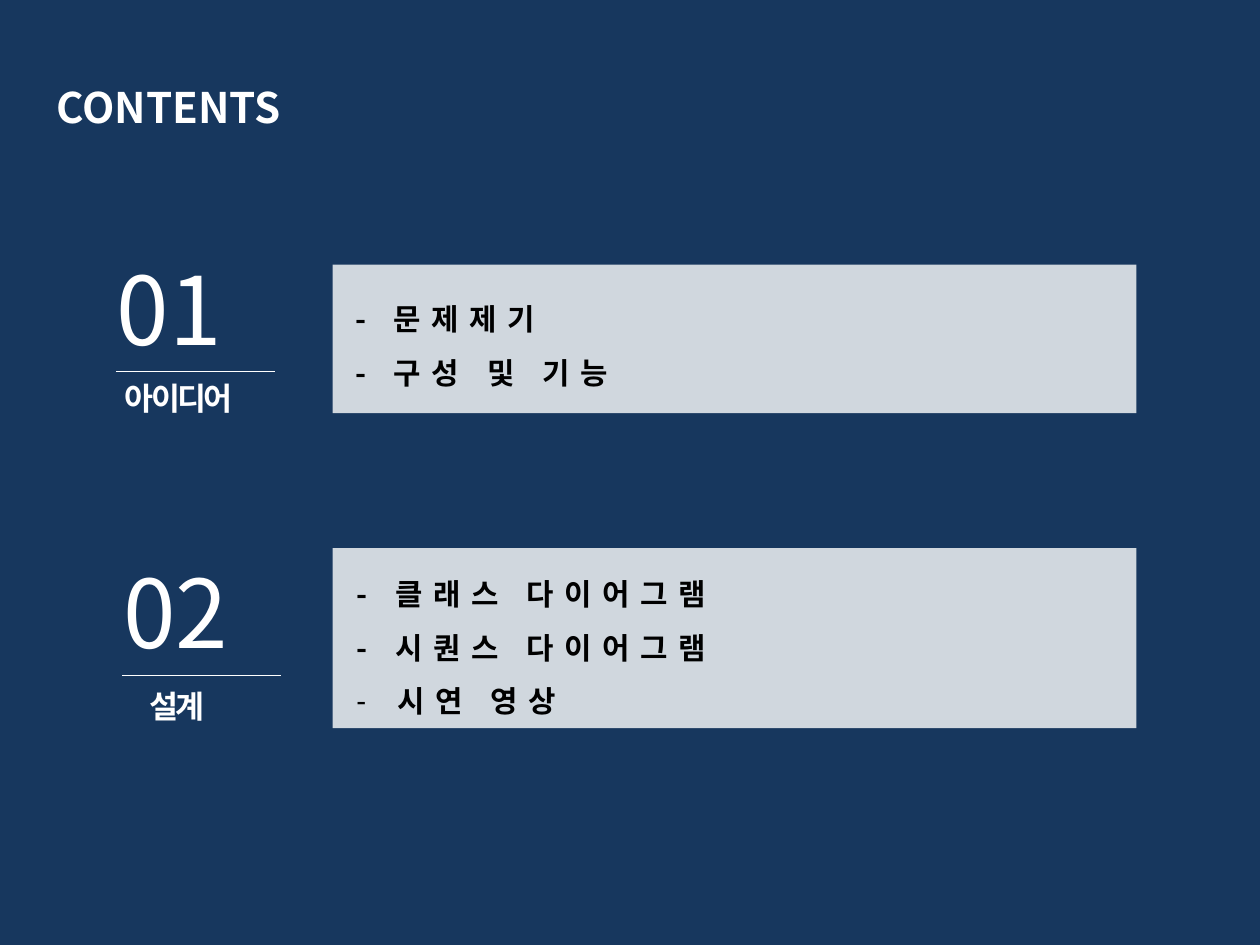
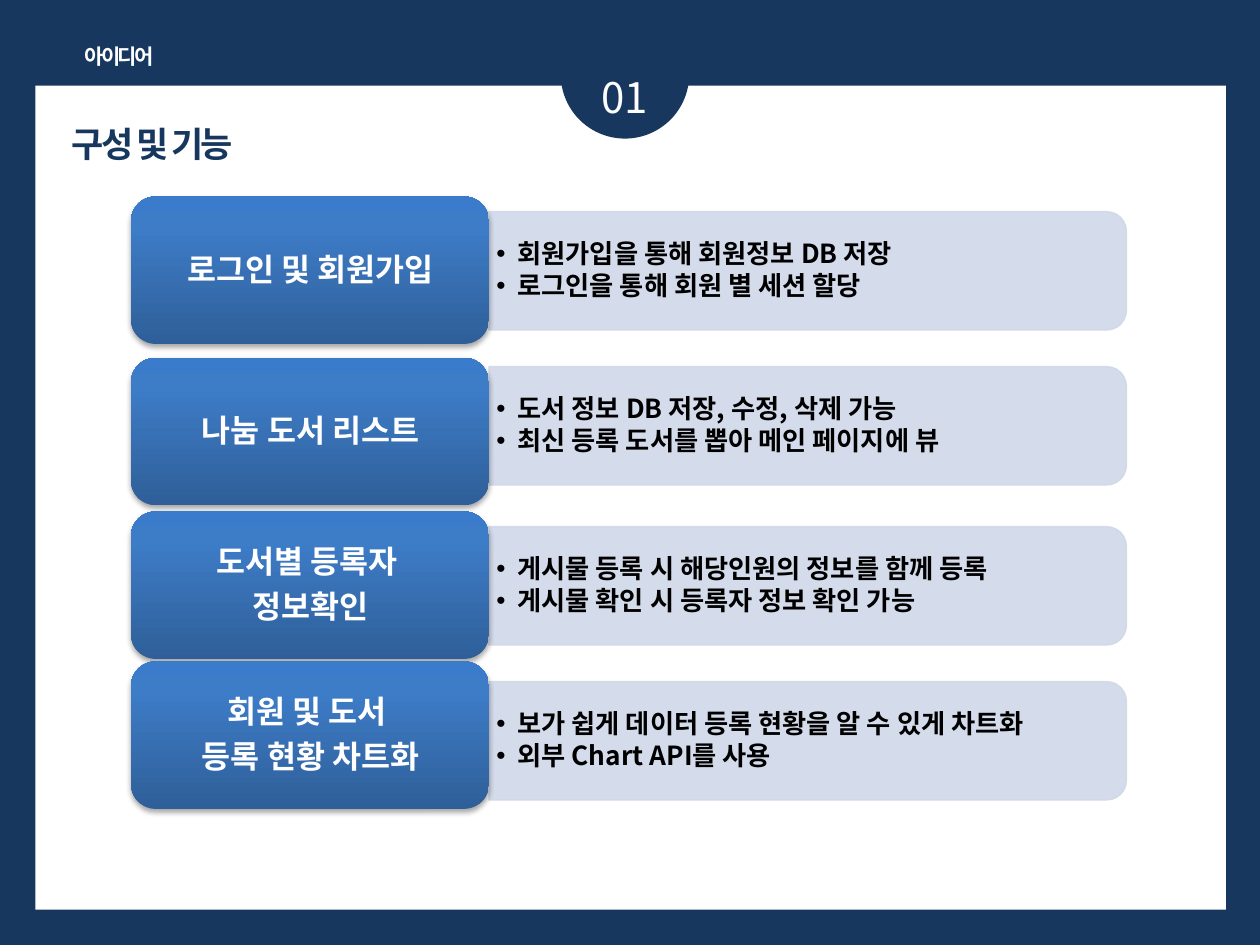
"""Build a contents slide and a feature overview slide."""
from dataclasses import dataclass
from typing import NamedTuple

from lxml import etree
from pptx import Presentation
from pptx import util as u
from pptx.dml.color import RGBColor
from pptx.enum import shapes, text
from pptx.oxml.ns import qn

COLUMNS, ROWS = 100, 75
WIDTH, HEIGHT = u.Inches(10), u.Inches(7.5)


@dataclass(frozen=True)
class Theme:
    """Colours, fonts and type sizes of the deck."""
    navy: str = "17375E"
    white: str = "FFFFFF"
    black: str = "000000"
    card: str = "D0D8E8"
    gradient: tuple = ((0, "2F5F99"), (80, "3D7CC7"), (100, "3A7CCB"))
    font: str = "Noto Sans CJK KR"
    latin: str = "Arial"
    number: float = 54
    title: float = 24
    heading: float = 20
    label: float = 18
    item: float = 17
    detail: float = 15
    small: float = 12
    tight: float = -1.5
    wide: float = 6
    rule: float = 0.75


THEME = Theme()


class Box(NamedTuple):
    """A place on the grid: left column, top row, columns and rows."""
    left: float
    top: float
    columns: float
    rows: float


class Style(NamedTuple):
    """How a run of text looks."""
    size: float
    color: str = THEME.white
    bold: bool = False
    font: str = THEME.font
    tracking: float = 0


class Layout(NamedTuple):
    """How the paragraphs of a text box are set."""
    centred: bool = False
    line_spacing: float | None = None
    after_percent: int = 0
    bullet: str = ""
    indent: float = 0
    level: int = 0
    insets: tuple[float, float] | None = None
    wrap: bool = True


class Section(NamedTuple):
    """A numbered entry of the contents slide."""
    number: str
    name: str
    number_at: Box
    name_at: Box
    panel_at: Box
    items_at: Box
    items: tuple[str, ...]
    bulleted: tuple[str, ...] = ()


class Feature(NamedTuple):
    """A feature label with the card that explains it."""
    label_top: float
    card_top: float
    label: tuple[str, ...]
    details: tuple[str, ...]


SECTIONS = (
    Section("01", "아이디어", Box(8.3, 19.4, 13.5, 10.1), Box(6.7, 29.6, 15, 4),
            Box(26.4, 21, 63.8, 11.8), Box(27.2, 22, 46.5, 9.6),
            ("- 문제제기", "- 구성 및 기능")),
    Section("02", "설계", Box(8.8, 43.5, 13.5, 10.1), Box(7.2, 54, 13.7, 4),
            Box(26.4, 43.5, 63.8, 14.3), Box(27.3, 43.8, 44, 13.9),
            ("- 클래스 다이어그램", "- 시퀀스 다이어그램"), (" 시연 영상",)),
)

FEATURES = (
    Feature(15.6, 16.8, ("로그인 및 회원가입",),
            (" 회원가입을 통해 회원정보 DB 저장", " 로그인을 통해 회원 별 세션 할당")),
    Feature(28.4, 29.1, ("나눔 도서 리스트",),
            (" 도서 정보 DB 저장, 수정, 삭제 가능", " 최신 등록 도서를 뽑아 메인 페이지에 뷰")),
    Feature(40.6, 41.8, ("도서별 등록자 ", "정보확인"),
            (" 게시물 등록 시 해당인원의 정보를 함께 등록", " 게시물 확인 시 등록자 정보 확인 가능")),
    Feature(52.5, 54.1, ("회원 및 도서 ", "등록 현황 차트화"),
            (" 보가 쉽게 데이터 등록 현황을 알 수 있게 차트화", " 외부 Chart API를 사용")),
)

NUMBER = Style(THEME.number)
TITLE = Style(THEME.title, bold=True)
SECTION_NAME = Style(THEME.label, bold=True, font=THEME.latin, tracking=THEME.tight)
ITEM = Style(THEME.item, THEME.black, True, tracking=THEME.wide)
CHAPTER = Style(THEME.small, bold=True, tracking=THEME.tight)
HEADING = Style(THEME.heading, THEME.navy, True, THEME.latin, THEME.tight)
LABEL = Style(THEME.label, bold=True)
DETAIL = Style(THEME.detail, THEME.black, True)

CENTRED = Layout(centred=True)
ITEMS = Layout(line_spacing=1.5)
DASHED = ITEMS._replace(bullet="-", indent=1.9)
LABELS = Layout(centred=True, line_spacing=0.9, after_percent=35, insets=(0.7, 0.4))
DETAILS = Layout(line_spacing=0.9, after_percent=15, bullet="•", indent=1.2,
                 level=1, insets=(0.6, 0.3))


def across(columns: float) -> int:
    """Turn grid columns into a length."""
    return u.Emu(round(columns * WIDTH / COLUMNS))


def down(rows: float) -> int:
    """Turn grid rows into a length."""
    return u.Emu(round(rows * HEIGHT / ROWS))


def place(box: Box) -> tuple[int, int, int, int]:
    """Turn a grid box into left, top, width and height."""
    return across(box.left), down(box.top), across(box.columns), down(box.rows)


def add_child(parent, tag: str, **attributes):
    """Append a DrawingML element."""
    return etree.SubElement(parent, qn(tag),
                            {name: str(value) for name, value in attributes.items()})


def set_alpha(fill, percent: int) -> None:
    """Make a solid fill partly opaque."""
    color = fill._xPr.find(f"{qn('a:solidFill')}/{qn('a:srgbClr')}")
    add_child(color, "a:alpha", val=percent * 1000)


def add_block(slide, kind, box: Box, color: str, opacity: int = 100):
    """Draw a preset shape with a flat fill and no outline."""
    shape = slide.shapes.add_shape(kind, *place(box))
    shape.shadow.inherit = False
    shape.fill.solid()
    shape.fill.fore_color.rgb = RGBColor.from_string(color)
    if opacity < 100:
        set_alpha(shape.fill, opacity)
    shape.line.fill.background()
    return shape


def add_rule(slide, left: float, row: float, columns: float) -> None:
    """Draw a thin white horizontal line."""
    line = slide.shapes.add_connector(shapes.MSO_CONNECTOR.STRAIGHT, across(left),
                                      down(row), across(left + columns), down(row))
    line.line.color.rgb = RGBColor.from_string(THEME.white)
    line.line.width = u.Pt(THEME.rule)
    add_child(line._element.spPr, "a:effectLst")


def format_paragraph(paragraph, layout: Layout) -> None:
    """Set alignment, spacing and bullet of a paragraph."""
    paragraph.alignment = text.PP_ALIGN.CENTER if layout.centred else text.PP_ALIGN.LEFT
    paragraph.level = layout.level
    if layout.line_spacing:
        paragraph.line_spacing = layout.line_spacing
    properties = paragraph._p.get_or_add_pPr()
    if layout.after_percent:
        paragraph.space_after = u.Pt(0)
        after = properties.find(qn("a:spcAft"))
        after.clear()
        add_child(after, "a:spcPct", val=layout.after_percent * 1000)
    if layout.bullet:
        properties.set("marL", str(across(layout.indent)))
        properties.set("indent", str(-across(layout.indent)))
        add_child(properties, "a:buFont", typeface=THEME.latin)
        add_child(properties, "a:buChar", char=layout.bullet)


def add_run(paragraph, words: str, style: Style) -> None:
    """Add one styled run to a paragraph."""
    run = paragraph.add_run()
    run.text = words
    run.font.size = u.Pt(style.size)
    run.font.bold = style.bold
    run.font.name = style.font
    run.font.color.rgb = RGBColor.from_string(style.color)
    properties = run._r.get_or_add_rPr()
    add_child(properties, "a:ea", typeface=THEME.font)
    if style.tracking:
        properties.set("spc", str(round(style.tracking * 100)))


def add_paragraphs(frame, lines: tuple[str, ...], style: Style, layout: Layout) -> None:
    """Fill a text frame, one paragraph a line."""
    for words in lines:
        first = frame.paragraphs[0]
        paragraph = frame.add_paragraph() if first.runs else first
        format_paragraph(paragraph, layout)
        add_run(paragraph, words, style)


def add_text(slide, box: Box, lines: tuple[str, ...], style: Style,
             layout: Layout = Layout()):
    """Draw a text box and return its frame."""
    frame = slide.shapes.add_textbox(*place(box)).text_frame
    frame.word_wrap = layout.wrap
    if layout.insets:
        side, edge = layout.insets
        frame.margin_left = frame.margin_right = across(side)
        frame.margin_top = frame.margin_bottom = down(edge)
        frame.vertical_anchor = text.MSO_ANCHOR.MIDDLE
    add_paragraphs(frame, lines, style, layout)
    return frame


def add_section(slide, section: Section) -> None:
    """Draw a number, its rule and name, and the panel of items."""
    add_block(slide, shapes.MSO_SHAPE.RECTANGLE, section.panel_at, THEME.white, 80)
    number = section.number_at
    add_text(slide, number, (section.number,), NUMBER)
    add_rule(slide, number.left + 0.9, number.top + number.rows, 12.6)
    add_text(slide, section.name_at, (section.name,), SECTION_NAME, CENTRED)
    frame = add_text(slide, section.items_at, section.items, ITEM, ITEMS)
    add_paragraphs(frame, section.bulleted, ITEM, DASHED)


def add_card(slide, box: Box) -> None:
    """Draw a pale card with its right corners rounded."""
    upright = Box(box.left + (box.columns - box.rows) / 2,
                  box.top + (box.rows - box.columns) / 2, box.rows, box.columns)
    shape = add_block(slide, shapes.MSO_SHAPE.ROUND_2_SAME_RECTANGLE, upright,
                      THEME.card, 90)
    shape.rotation = 90
    shape.line.color.rgb = RGBColor.from_string(THEME.card)
    shape.line.width = u.Pt(THEME.rule)
    set_alpha(shape.line.fill, 90)


def add_button(slide, box: Box) -> None:
    """Draw a rounded block with a blue gradient and a soft shadow."""
    shape = add_block(slide, shapes.MSO_SHAPE.ROUNDED_RECTANGLE, box, THEME.navy)
    shape.fill.gradient()
    shape.fill.gradient_angle = 90
    properties = shape._element.spPr
    stops = properties.find(f"{qn('a:gradFill')}/{qn('a:gsLst')}")
    stops.clear()
    for position, color in THEME.gradient:
        add_child(add_child(stops, "a:gs", pos=position * 1000), "a:srgbClr", val=color)
    shadow = add_child(properties.find(qn("a:effectLst")), "a:outerShdw",
                       blurRad=u.Pt(3.1), dist=u.Pt(1.8), dir=90 * 60000, rotWithShape=0)
    add_child(add_child(shadow, "a:srgbClr", val=THEME.black), "a:alpha", val=35000)


def add_feature(slide, feature: Feature) -> None:
    """Draw a feature label beside its details."""
    add_card(slide, Box(38.8, feature.card_top, 50.6, 9.4))
    add_text(slide, Box(38.8, feature.card_top + 0.45, 50.1, 8.5), feature.details,
             DETAIL, DETAILS)
    add_button(slide, Box(10.4, feature.label_top, 28.4, 11.7))
    add_text(slide, Box(11, feature.label_top + 0.6, 27.3, 10.6), feature.label,
             LABEL, LABELS)


def add_navy_slide(presentation):
    """Add a blank slide with the navy background."""
    slide = presentation.slides.add_slide(presentation.slide_layouts[6])
    slide.background.fill.solid()
    slide.background.fill.fore_color.rgb = RGBColor.from_string(THEME.navy)
    return slide


def build_contents(presentation) -> None:
    """Build the contents slide."""
    slide = add_navy_slide(presentation)
    add_text(slide, Box(3.5, 6, 45.7, 5), ("CONTENTS",), TITLE)
    for section in SECTIONS:
        add_section(slide, section)


def build_features(presentation) -> None:
    """Build the feature overview slide."""
    slide = add_navy_slide(presentation)
    add_block(slide, shapes.MSO_SHAPE.RECTANGLE, Box(2.8, 6.8, 94.5, 65.4), THEME.white)
    add_block(slide, shapes.MSO_SHAPE.OVAL, Box(44.5, 0.8, 10.2, 10.2), THEME.navy)
    add_text(slide, Box(43.7, 5.2, 11.8, 5), ("01",), Style(THEME.title), CENTRED)
    add_text(slide, Box(5.5, 3, 7.9, 3), ("아이디어",), CHAPTER,
             CENTRED._replace(wrap=False))
    add_text(slide, Box(4.7, 9.2, 28, 8.4), ("구성 및 기능",), HEADING)
    for feature in FEATURES:
        add_feature(slide, feature)


def main() -> None:
    """Build and save the presentation."""
    presentation = Presentation()
    presentation.slide_width, presentation.slide_height = WIDTH, HEIGHT
    build_contents(presentation)
    build_features(presentation)
    presentation.save("out.pptx")


if __name__ == "__main__":
    main()
